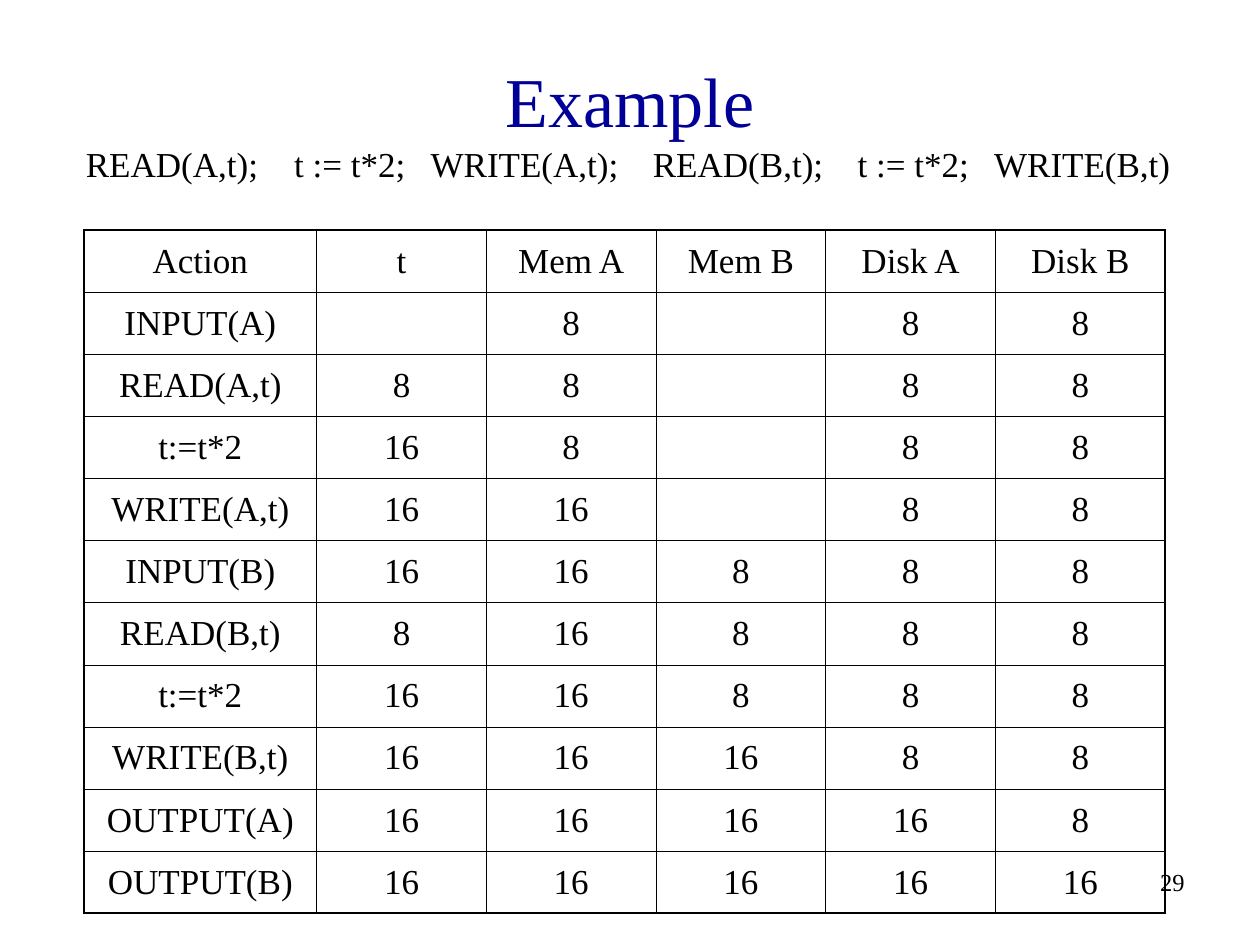
from dataclasses import dataclass

from lxml.etree import SubElement
from pptx import Presentation
from pptx.dml.color import RGBColor
from pptx.enum.text import MSO_ANCHOR, PP_ALIGN
from pptx.oxml.ns import qn
from pptx.util import Pt


@dataclass(frozen=True)
class Theme:
    """Fonts, colours, type sizes and line widths of the slide."""
    font: str = "Times New Roman"
    title_color: str = "000099"
    text_color: str = "000000"
    title_size: float = 40
    body_size: float = 20
    number_size: float = 14
    outer_line: float = 1.08
    inner_line: float = 0.45


THEME = Theme()
STATEMENTS = ["READ(A,t);", "t := t*2;", "WRITE(A,t);",
              "READ(B,t);", "t := t*2;", "WRITE(B,t)"]
STATEMENT_STOPS = [119, 197, 324, 441, 519]
TRACE = [
    ["Action", "t", "Mem A", "Mem B", "Disk A", "Disk B"],
    ["INPUT(A)", "", "8", "", "8", "8"],
    ["READ(A,t)", "8", "8", "", "8", "8"],
    ["t:=t*2", "16", "8", "", "8", "8"],
    ["WRITE(A,t)", "16", "16", "", "8", "8"],
    ["INPUT(B)", "16", "16", "8", "8", "8"],
    ["READ(B,t)", "8", "16", "8", "8", "8"],
    ["t:=t*2", "16", "16", "8", "8", "8"],
    ["WRITE(B,t)", "16", "16", "16", "8", "8"],
    ["OUTPUT(A)", "16", "16", "16", "16", "8"],
    ["OUTPUT(B)", "16", "16", "16", "16", "16"],
]


def style_paragraph(paragraph, size, color, alignment):
    """Set the alignment and font of a paragraph."""
    paragraph.alignment = alignment
    paragraph.font.name = THEME.font
    paragraph.font.size = Pt(size)
    paragraph.font.color.rgb = RGBColor.from_string(color)


def add_label(slide, box, text, size, color, alignment,
              anchor=MSO_ANCHOR.TOP, stops=()):
    """Place one line of text in a box, with optional tab stops."""
    frame = slide.shapes.add_textbox(*map(Pt, box)).text_frame
    frame.word_wrap = True
    frame.vertical_anchor = anchor
    paragraph = frame.paragraphs[0]
    paragraph.text = text
    if stops:
        tabs = SubElement(paragraph._p.get_or_add_pPr(), qn("a:tabLst"))
        for stop in stops:
            SubElement(tabs, qn("a:tab"), pos=str(Pt(stop)), algn="l")
    style_paragraph(paragraph, size, color, alignment)


def add_title(slide, box):
    """Place the centred slide title."""
    add_label(slide, box, "Example", THEME.title_size, THEME.title_color,
              PP_ALIGN.CENTER, MSO_ANCHOR.MIDDLE)


def add_statements(slide, box):
    """Place the transaction's statements on one tabbed line."""
    add_label(slide, box, "\t".join(STATEMENTS), THEME.body_size,
              THEME.text_color, PP_ALIGN.LEFT, stops=STATEMENT_STOPS)


def add_page_number(slide, box):
    """Place the page number at the right of its box."""
    add_label(slide, box, "29", THEME.number_size, THEME.text_color,
              PP_ALIGN.RIGHT)


def set_borders(cell, outer_sides):
    """Draw the four cell borders, heavier on the table's outer sides."""
    properties = cell._tc.get_or_add_tcPr()
    for side, is_outer in outer_sides.items():
        width = THEME.outer_line if is_outer else THEME.inner_line
        line = SubElement(properties, qn(f"a:ln{side}"), w=str(Pt(width)))
        fill = SubElement(line, qn("a:solidFill"))
        SubElement(fill, qn("a:srgbClr"), val=THEME.text_color)


def add_trace_table(slide, box, action_width=133):
    """Place the trace of memory and disk values after each action."""
    width, height = box[2:]
    row_count, column_count = len(TRACE), len(TRACE[0])
    table = slide.shapes.add_table(row_count, column_count, *map(Pt, box)).table
    table.first_row = table.horz_banding = False
    value_width = (width - action_width) / (column_count - 1)
    for index, column in enumerate(table.columns):
        column.width = Pt(value_width if index else action_width)
    for row_index, values in enumerate(TRACE):
        table.rows[row_index].height = Pt(height / row_count)
        for column_index, value in enumerate(values):
            cell = table.cell(row_index, column_index)
            cell.text = value
            cell.vertical_anchor = MSO_ANCHOR.MIDDLE
            style_paragraph(cell.text_frame.paragraphs[0], THEME.body_size,
                            THEME.text_color, PP_ALIGN.CENTER)
            set_borders(cell, {
                "L": column_index == 0,
                "R": column_index == column_count - 1,
                "T": row_index == 0,
                "B": row_index == row_count - 1,
            })
            cell.fill.background()


def main():
    """Build and save the slide."""
    presentation = Presentation()
    presentation.slide_width, presentation.slide_height = Pt(720), Pt(540)
    slide = presentation.slides.add_slide(presentation.slide_layouts[6])
    add_page_number(slide, (534, 492, 150, 36))
    add_title(slide, (54, 12, 612, 90))
    add_statements(slide, (42, 78, 678, 42))
    add_trace_table(slide, (48, 131.5, 618, 390.5))
    presentation.save("out.pptx")


if __name__ == "__main__":
    main()
